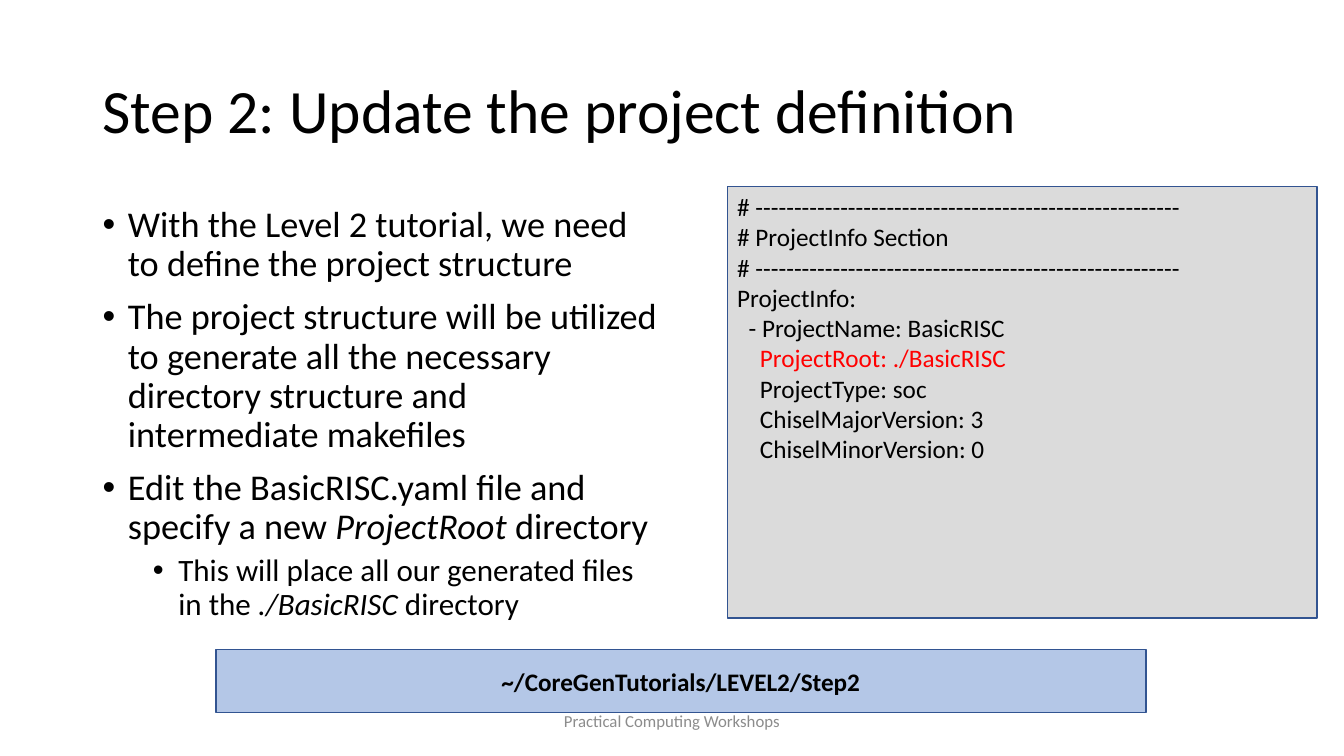
from lxml import etree
from pptx import Presentation
from pptx import util as u
from pptx.dml.color import RGBColor
from pptx.enum import shapes, text
from pptx.oxml import ns

BLACK = RGBColor(0x00, 0x00, 0x00)
RED = RGBColor(0xFF, 0x00, 0x00)
FOOTER_GRAY = RGBColor(0x8C, 0x8C, 0x8C)
PATH_BLUE = RGBColor(0xB4, 0xC7, 0xE7)
CODE_GRAY = RGBColor(0xDB, 0xDB, 0xDB)
BORDER_BLUE = RGBColor(0x32, 0x54, 0x91)


def add_run(paragraph, words, size, **changes):
    run = paragraph.add_run()
    run.text = words
    run.font.color.rgb = changes.pop("color", BLACK)
    font_format = {"name": "Calibri", "size": u.Pt(size), **changes}
    for attribute, value in font_format.items():
        setattr(run.font, attribute, value)


def set_frame(shape, anchor, box=None, fill=None):
    if box:
        shape.left, shape.top, shape.width, shape.height = map(u.Cm, box)
    if fill is not None:
        shape.shadow.inherit = False
        shape.fill.solid()
        shape.fill.fore_color.rgb = fill
        shape.line.color.rgb = BORDER_BLUE
        shape.line.width = u.Pt(1)
    frame_format = {"word_wrap": True, "vertical_anchor": anchor,
                    "auto_size": text.MSO_AUTO_SIZE.NONE}
    for attribute, value in frame_format.items():
        setattr(shape.text_frame, attribute, value)
    return shape.text_frame


prs = Presentation()
prs.slide_width, prs.slide_height = u.Cm(33.87), u.Cm(19.05)
slide = prs.slides.add_slide(prs.slide_layouts[1])
TOP, MIDDLE = text.MSO_ANCHOR.TOP, text.MSO_ANCHOR.MIDDLE
LEFT, CENTER = text.PP_ALIGN.LEFT, text.PP_ALIGN.CENTER

# Title
title = set_frame(slide.shapes.title, MIDDLE, (2.33, 1.01, 29.21, 3.68))
heading = title.paragraphs[0]
heading.alignment = LEFT
heading.line_spacing = 0.9
add_run(heading, "Step 2: Update the project definition", 44)

# Instructions: level, then pieces that alternate between upright and italic
instructions = [
    (0, ["With the Level 2 tutorial, we need to define the project structure"]),
    (0, ["The project structure will be utilized to generate all the necessary "
         "directory structure and intermediate makefiles"]),
    (0, ["Edit the BasicRISC.yaml file and specify a new ", "ProjectRoot", " directory"]),
    (1, ["This will place all our generated files in the ", "./BasicRISC", " directory"]),
]
level_sizes, level_spaces = (25.9, 22.2), (10, 5)
body = set_frame(slide.placeholders[1], TOP, (2.33, 5.07, 14.6, 10.97))
for index, (level, pieces) in enumerate(instructions):
    item = body.add_paragraph() if index else body.paragraphs[0]
    item.level = level
    properties = item._p.get_or_add_pPr()
    properties.set("marL", str(u.Cm(0.64 + 1.27 * level)))
    properties.set("indent", str(u.Cm(-0.64)))
    etree.SubElement(properties, ns.qn("a:buFont"), typeface="Arial")
    etree.SubElement(properties, ns.qn("a:buChar"), char="•")
    item.line_spacing = 0.9
    item.space_before = u.Pt(level_spaces[level] if index else 0)
    for position, piece in enumerate(pieces):
        add_run(item, piece, level_sizes[level], italic=position % 2 == 1)

# Footer
footer = set_frame(slide.shapes.add_textbox(u.Cm(11.22), u.Cm(17.66), u.Cm(11.43), u.Cm(1.01)),
                   MIDDLE)
footer.paragraphs[0].alignment = CENTER
add_run(footer.paragraphs[0], "Practical Computing Workshops", 12, color=FOOTER_GRAY)

# Tutorial directory, ending just above the footer text
directory = set_frame(
    slide.shapes.add_shape(shapes.MSO_SHAPE.RECTANGLE,
                           u.Cm(5.44), u.Cm(16.36), u.Cm(23.44), u.Cm(1.6)),
    MIDDLE, fill=PATH_BLUE)
directory.paragraphs[0].alignment = CENTER
add_run(directory.paragraphs[0], "~/CoreGenTutorials/LEVEL2/Step2", 18, bold=True)

# Project definition code
rule = "# " + "-" * 55
code_lines = [
    rule,
    "# ProjectInfo Section",
    rule,
    "ProjectInfo:",
    "  - ProjectName: BasicRISC",
    "    ProjectRoot: ./BasicRISC",
    "    ProjectType: soc",
    "    ChiselMajorVersion: 3",
    "    ChiselMinorVersion: 0",
]
code = set_frame(
    slide.shapes.add_shape(shapes.MSO_SHAPE.RECTANGLE,
                           u.Cm(18.33), u.Cm(4.7), u.Cm(14.86), u.Cm(10.87)),
    TOP, fill=CODE_GRAY)
for index, code_line in enumerate(code_lines):
    row = code.add_paragraph() if index else code.paragraphs[0]
    row.alignment = LEFT
    add_run(row, code_line, 18, color=RED if "ProjectRoot" in code_line else BLACK)

prs.save("out.pptx")
